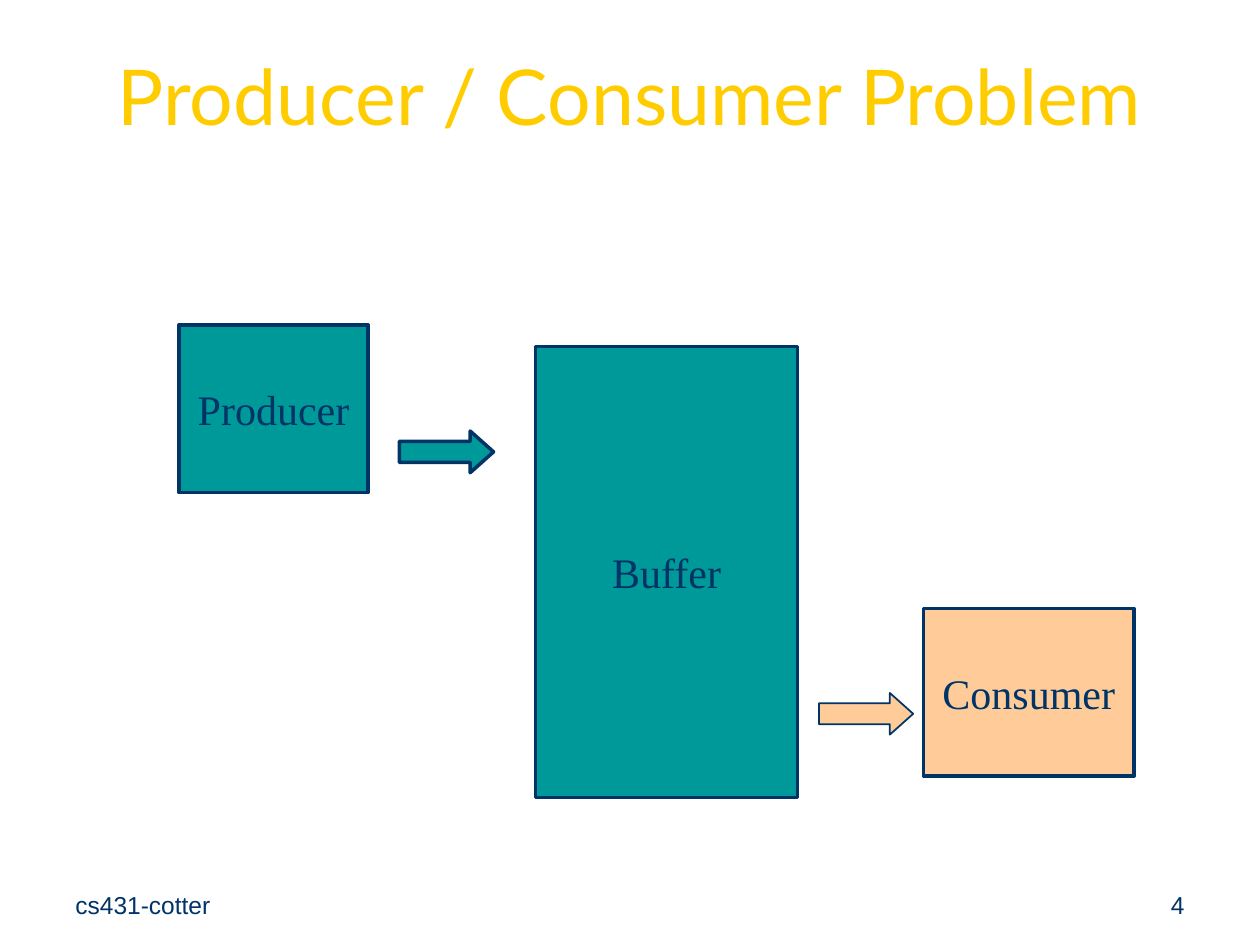
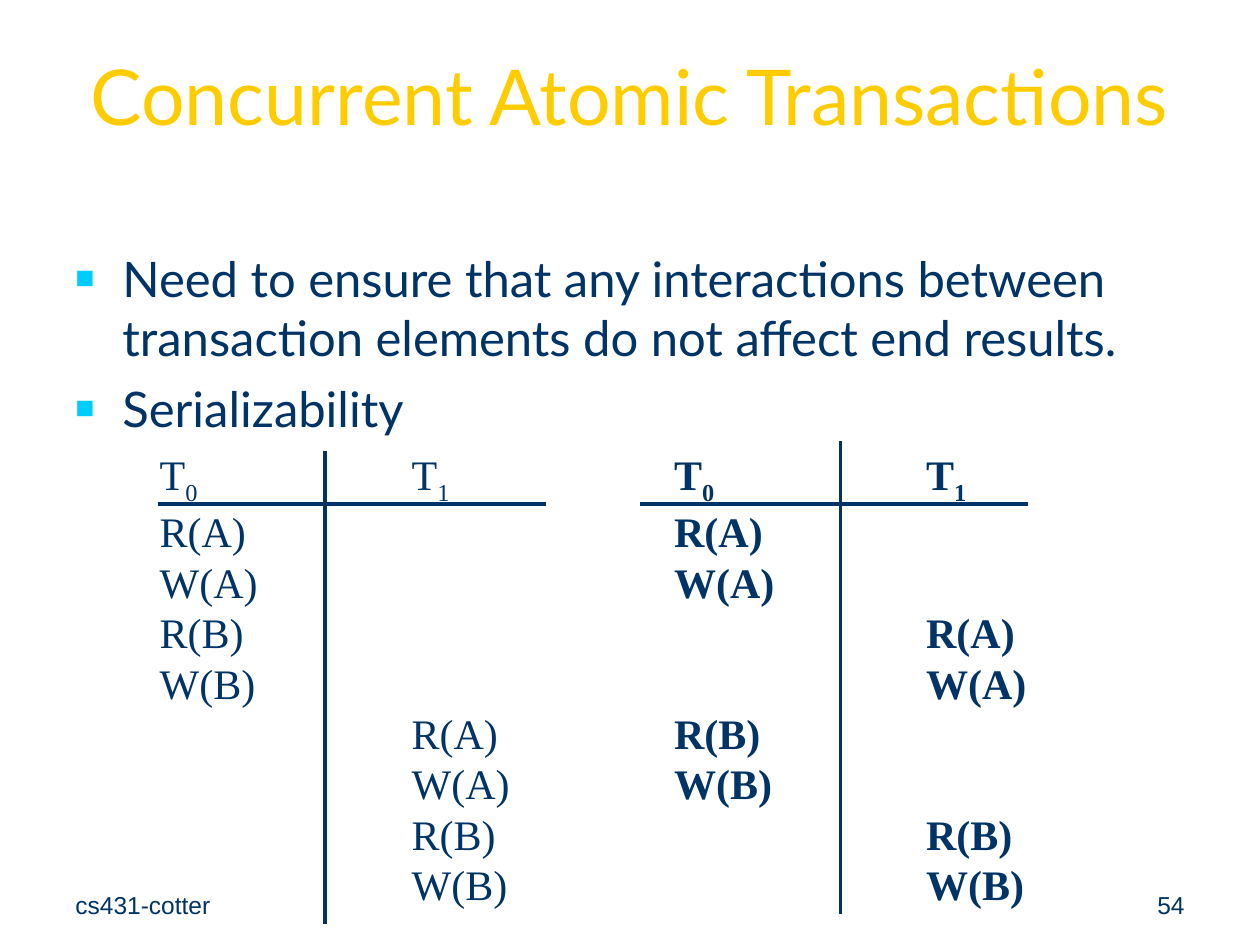
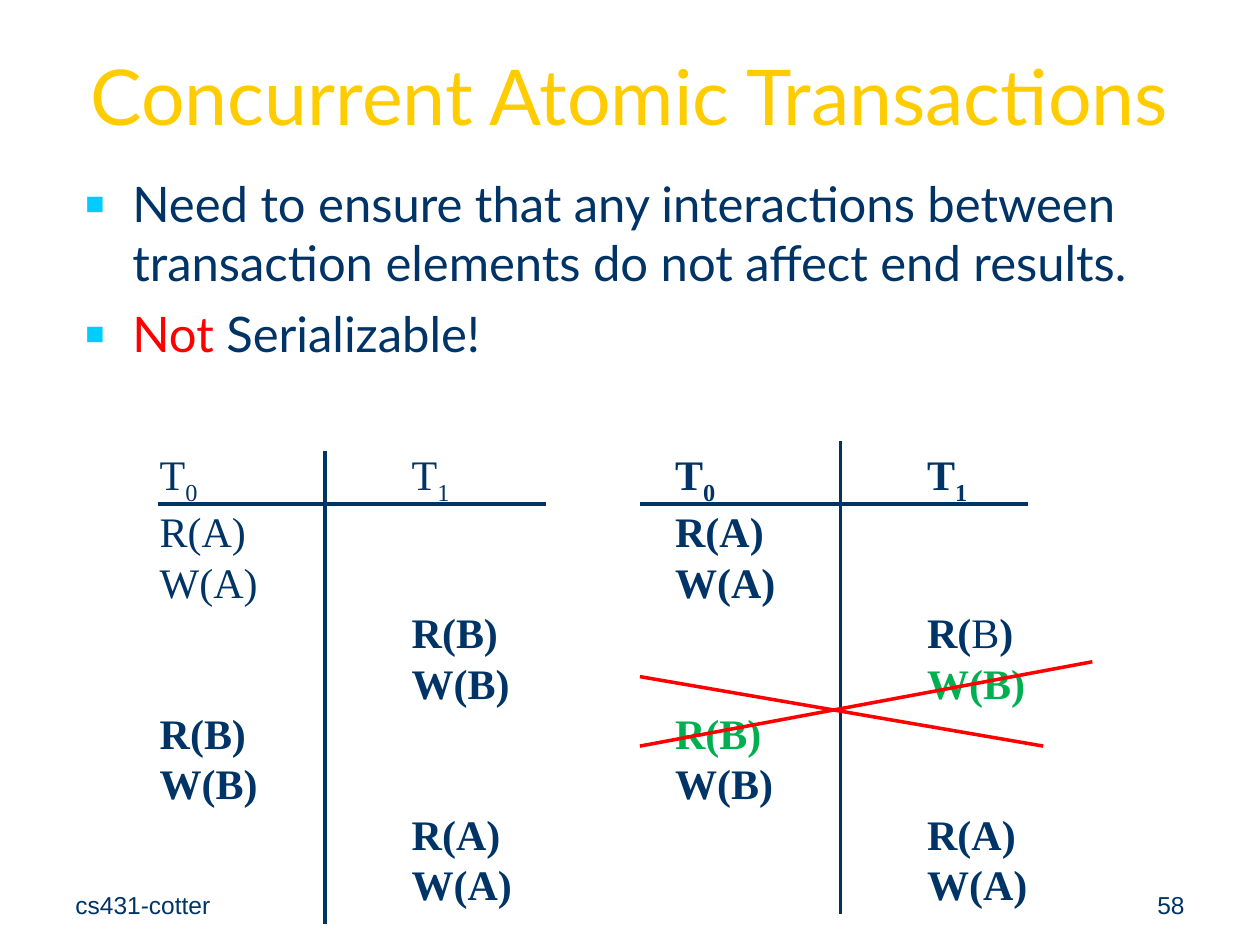
from dataclasses import dataclass, field

from lxml import etree
from pptx import Presentation
from pptx.dml.color import RGBColor
from pptx.enum.shapes import MSO_CONNECTOR, MSO_SHAPE
from pptx.enum.text import MSO_ANCHOR, PP_ALIGN
from pptx.oxml.ns import qn
from pptx.slide import Slide
from pptx.text.text import TextFrame
from pptx.util import Cm, Pt

RECT, ARROW = MSO_SHAPE.RECTANGLE, MSO_SHAPE.RIGHT_ARROW
STRAIGHT = MSO_CONNECTOR.STRAIGHT
LEFT, MID, RIGHT = PP_ALIGN.LEFT, PP_ALIGN.CENTER, PP_ALIGN.RIGHT
TOP, CENTER, BOTTOM = MSO_ANCHOR.TOP, MSO_ANCHOR.MIDDLE, MSO_ANCHOR.BOTTOM

NAVY, TEAL, PEACH, GOLD = "003366", "009999", "FFCC99", "FFCC00"
CYAN, RED, GREEN = "00CCFF", "FF0000", "00B050"

TITLE = {"name": "Lato", "size": Pt(44), "color": GOLD}
BODY = {"name": "Lato", "size": Pt(28), "color": NAVY}
LABEL = {"name": "Times New Roman", "size": Pt(24), "color": NAVY}
FOOT = {"name": "Arial", "size": Pt(14), "color": NAVY}
BOLD = {"bold": True}
SUB = {"base": "-25000"}

HEAD_ROW, ROW = Pt(33.6), Pt(28.8)
COURSE = "cs431-cotter"
ATOMIC = "Concurrent Atomic Transactions"
NEED = ("Need to ensure that any interactions between "
        "transaction elements do not affect end results.")


@dataclass
class Span:
    text: str
    look: dict = field(default_factory=dict)


Line = list[Span]


@dataclass
class Area:
    left: float
    top: float
    width: float
    height: float

    def cm(self) -> tuple:
        return Cm(self.left), Cm(self.top), Cm(self.width), Cm(self.height)


@dataclass
class Node:
    area: Area
    fill: str
    text: str = ""
    edge: float = 2


@dataclass
class Rule:
    start: tuple[float, float]
    end: tuple[float, float]
    color: str = NAVY


@dataclass
class Plan:
    """A schedule of two transactions, T0 and T1."""
    left: float
    look: dict
    steps: list[Line]


NODES = [
    Node(Area(10.8, 6.99, 5.28, 9.09), TEAL, "Buffer"),
    Node(Area(3.61, 6.55, 3.81, 3.38), TEAL, "Producer"),
    Node(Area(8.05, 8.69, 1.9, 0.84), TEAL),
    Node(Area(18.62, 12.27, 4.24, 3.38), PEACH, "Consumer"),
    Node(Area(16.51, 13.97, 1.9, 0.84), PEACH, edge=1),
]
GRID = [
    Rule((12.9, 10.16), (20.73, 10.16)),
    Rule((6.55, 9.09), (6.55, 18.62)),
    Rule((16.94, 8.89), (16.94, 18.42)),
    Rule((3.18, 10.16), (11, 10.16)),
]
CROSS = [
    Rule((12.9, 15.04), (22.02, 13.34), RED),
    Rule((12.9, 13.64), (21.03, 15.04), RED),
]


def rgb(code: str) -> RGBColor:
    return RGBColor.from_string(code)


def add_span(para, span: Span, base: dict) -> None:
    run = para.add_run()
    run.text = span.text
    for key, value in {**base, **span.look}.items():
        if key == "color":
            run.font.color.rgb = rgb(value)
        elif key == "base":
            run._r.get_or_add_rPr().set("baseline", value)
        else:
            setattr(run.font, key, value)


def add_lines(frame: TextFrame, lines: list[Line], look: dict,
              align=LEFT) -> list:
    paras = []
    for num, line in enumerate(lines):
        para = frame.add_paragraph() if num else frame.paragraphs[0]
        para.alignment = align
        for span in line:
            add_span(para, span, look)
        paras.append(para)
    return paras


def add_text(slide: Slide, area: Area, lines: list[Line], look: dict,
             align=LEFT, anchor=TOP) -> list:
    frame = slide.shapes.add_textbox(*area.cm()).text_frame
    frame.word_wrap = True
    frame.vertical_anchor = anchor
    return add_lines(frame, lines, look, align)


def add_page(deck, title: str, number: int) -> Slide:
    slide = deck.slides.add_slide(deck.slide_layouts[6])
    for left, text, align in ((1.27, COURSE, LEFT),
                              (18.21, str(number), RIGHT)):
        add_text(slide, Area(left, 17.35, 5.92, 1.32), [[Span(text)]],
                 FOOT, align, BOTTOM)
    add_text(slide, Area(1.27, 0, 22.86, 3.81), [[Span(title)]],
             TITLE, MID, CENTER)
    return slide


def add_node(slide: Slide, node: Node) -> None:
    """Draw a labelled box, or an arrow when there is no label."""
    shape = slide.shapes.add_shape(RECT if node.text else ARROW,
                                   *node.area.cm())
    shape.shadow.inherit = False
    shape.fill.solid()
    shape.fill.fore_color.rgb = rgb(node.fill)
    shape.line.color.rgb = rgb(NAVY)
    shape.line.width = Pt(node.edge)
    if node.text:
        frame = shape.text_frame
        frame.word_wrap = False
        frame.vertical_anchor = CENTER
        add_lines(frame, [[Span(node.text)]], LABEL, MID)
    else:
        shape.adjustments[1] = 0.56


def add_rule(slide: Slide, rule: Rule) -> None:
    ends = [Cm(value) for value in (*rule.start, *rule.end)]
    line = slide.shapes.add_connector(STRAIGHT, *ends)
    line.line.color.rgb = rgb(rule.color)
    line.line.width = Pt(2)
    etree.SubElement(line._element.spPr, qn("a:effectLst"))


def add_bullets(slide: Slide, area: Area, lines: list[Line]) -> None:
    for num, para in enumerate(add_text(slide, area, lines, BODY)):
        props = para._p.get_or_add_pPr()
        props.set("marL", str(Cm(0.95)))
        props.set("indent", str(-Cm(0.95)))
        tint = etree.SubElement(props, qn("a:buClr"))
        etree.SubElement(tint, qn("a:srgbClr"), val=CYAN)
        etree.SubElement(props, qn("a:buSzPct"), val="65000")
        etree.SubElement(props, qn("a:buFont"), typeface="Arial")
        etree.SubElement(props, qn("a:buChar"), char="■")
        if num:
            para.space_before = Pt(7)


def add_plan(slide: Slide, plan: Plan) -> None:
    head = [Span("T"), Span("0", SUB), Span("\tT"), Span("1", SUB)]
    paras = add_text(slide, Area(plan.left, 8.89, 8.25, 9.55),
                     [head, *plan.steps], {**LABEL, **plan.look})
    for num, para in enumerate(paras):
        para.line_spacing = ROW if num else HEAD_ROW
        tabs = etree.SubElement(para._p.get_or_add_pPr(), qn("a:tabLst"))
        etree.SubElement(tabs, qn("a:tab"), pos=str(Cm(5.08)), algn="l")


def steps(col: int, names: str, **look) -> list[Line]:
    """Give one line per operation, in the column of T0 or T1."""
    return [[Span("\t" * col + name, look)] for name in names.split()]


def add_atomic(deck, number: int, area: Area, point: Line,
               plans: list[Plan], rules: list[Rule]) -> None:
    slide = add_page(deck, ATOMIC, number)
    add_bullets(slide, area, [[Span(NEED)], point])
    for plan in plans:
        add_plan(slide, plan)
    for rule in rules:
        add_rule(slide, rule)


def main() -> None:
    deck = Presentation()
    deck.slide_width, deck.slide_height = Cm(25.4), Cm(19.05)

    slide = add_page(deck, "Producer / Consumer Problem", 4)
    for node in NODES:
        add_node(slide, node)

    on_a, on_b = "R(A) W(A)", "R(B) W(B)"
    both = f"{on_a} {on_b}"
    serial = Plan(2.97, {}, steps(0, both) + steps(1, both))
    mixed = Plan(13.34, BOLD, steps(0, on_a) + steps(1, on_a)
                 + steps(0, on_b) + steps(1, on_b))
    add_atomic(deck, 54, Area(1.27, 4.88, 22.86, 11.43),
               [Span("Serializability")], [serial, mixed], GRID)

    swap = Plan(2.97, {}, steps(0, on_a) + steps(1, on_b, **BOLD)
                + steps(0, on_b, **BOLD) + steps(1, on_a, **BOLD))
    read = [Span("\tR("), Span("B", {"bold": False}), Span(")")]
    clash = Plan(13.36, BOLD, steps(0, on_a) + [read]
                 + steps(1, "W(B)", color=GREEN)
                 + steps(0, "R(B)", color=GREEN)
                 + steps(0, "W(B)") + steps(1, on_a))
    add_atomic(deck, 58, Area(1.47, 3.38, 22.86, 6.78),
               [Span("Not", {"color": RED}), Span(" Serializable!")],
               [swap, clash], GRID + CROSS)

    deck.save("out.pptx")


if __name__ == "__main__":
    main()
